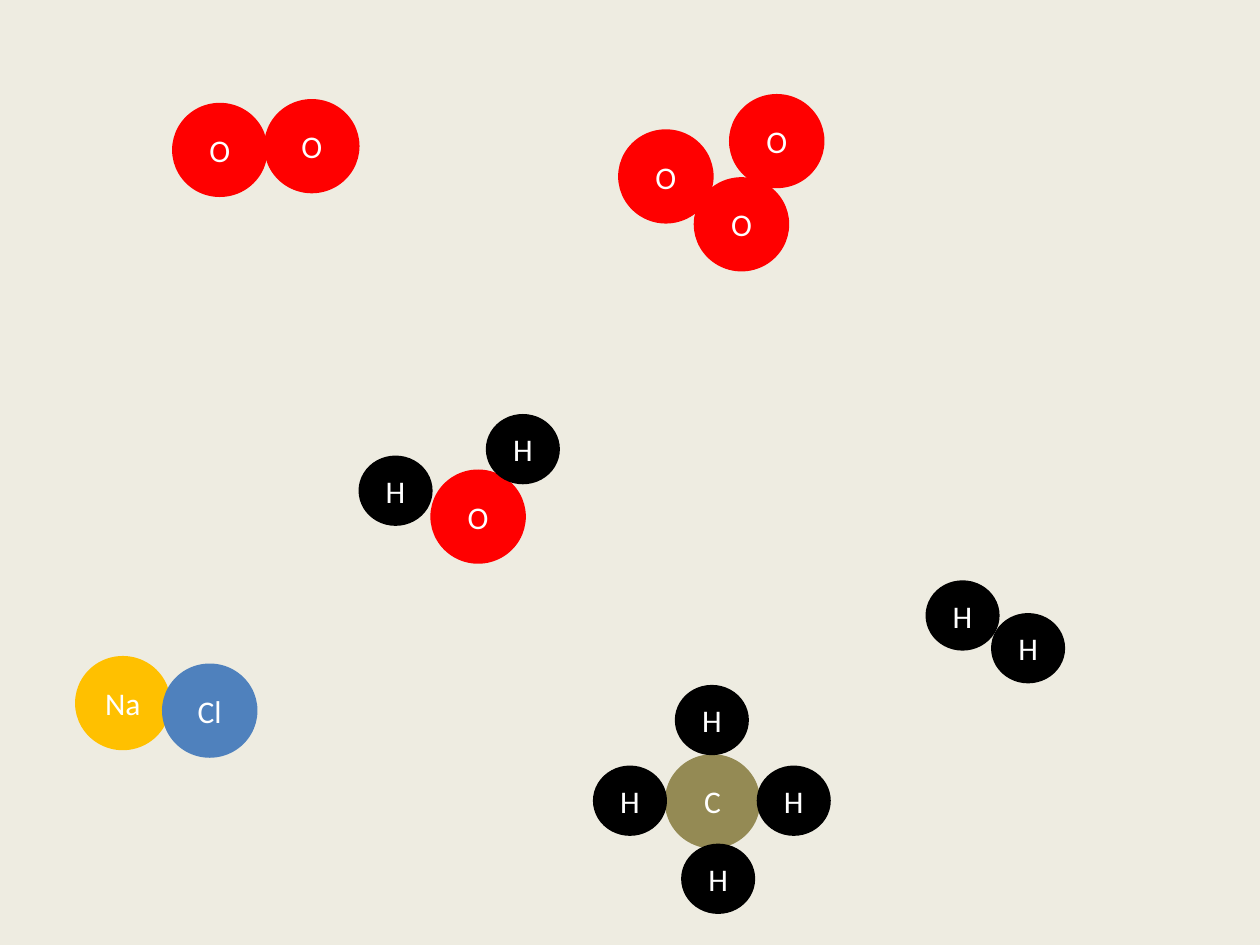
from typing import NamedTuple

from pptx import Presentation
from pptx.dml.color import RGBColor
from pptx.enum.shapes import MSO_SHAPE
from pptx.enum.text import MSO_ANCHOR, PP_ALIGN
from pptx.slide import Slide
from pptx.util import Inches, Pt

COLORS = {
    "background": "EEECE1",
    "text": "FFFFFF",
    "O": "FF0000",
    "H": "000000",
    "Na": "FFC000",
    "Cl": "4F81BD",
    "C": "948A54",
}
LARGE_ATOM = (0.73, 0.72)
HYDROGEN_ATOM = (0.56, 0.53)


class Atom(NamedTuple):
    symbol: str
    left: float
    top: float


MOLECULES = {
    "oxygen": [Atom("O", 1.38, 0.83), Atom("O", 2.11, 0.8)],
    "ozone": [Atom("O", 4.92, 1.04), Atom("O", 5.8, 0.76), Atom("O", 5.52, 1.42)],
    "water": [Atom("O", 3.43, 3.74), Atom("H", 3.87, 3.3), Atom("H", 2.86, 3.63)],
    "hydrogen": [Atom("H", 7.36, 4.62), Atom("H", 7.88, 4.88)],
    "salt": [Atom("Na", 0.61, 5.22), Atom("Cl", 1.3, 5.28)],
    "methane": [
        Atom("C", 5.29, 6),
        Atom("H", 5.42, 6.71),
        Atom("H", 4.72, 6.09),
        Atom("H", 6.02, 6.09),
        Atom("H", 5.37, 5.45),
    ],
}


def color(name: str) -> RGBColor:
    return RGBColor.from_string(COLORS[name])


def draw_atom(page: Slide, atom: Atom) -> None:
    width, height = HYDROGEN_ATOM if atom.symbol == "H" else LARGE_ATOM
    circle = page.shapes.add_shape(
        MSO_SHAPE.OVAL, Inches(atom.left), Inches(atom.top), Inches(width), Inches(height)
    )
    circle.shadow.inherit = False
    circle.fill.solid()
    circle.fill.fore_color.rgb = color(atom.symbol)
    circle.line.color.rgb = color(atom.symbol)
    circle.line.width = Pt(2)
    frame = circle.text_frame
    frame.vertical_anchor = MSO_ANCHOR.MIDDLE
    paragraph = frame.paragraphs[0]
    paragraph.text = atom.symbol
    paragraph.alignment = PP_ALIGN.CENTER
    paragraph.font.name = "Calibri"
    paragraph.font.size = Pt(18)
    paragraph.font.color.rgb = color("text")


def main() -> None:
    """Build a slide of molecules drawn as labelled atoms."""
    deck = Presentation()
    deck.slide_width, deck.slide_height = Inches(10), Inches(7.5)
    page = deck.slides.add_slide(deck.slide_layouts[6])
    page.background.fill.solid()
    page.background.fill.fore_color.rgb = color("background")
    for atoms in MOLECULES.values():
        for atom in atoms:
            draw_atom(page, atom)
    deck.save("out.pptx")


if __name__ == "__main__":
    main()
